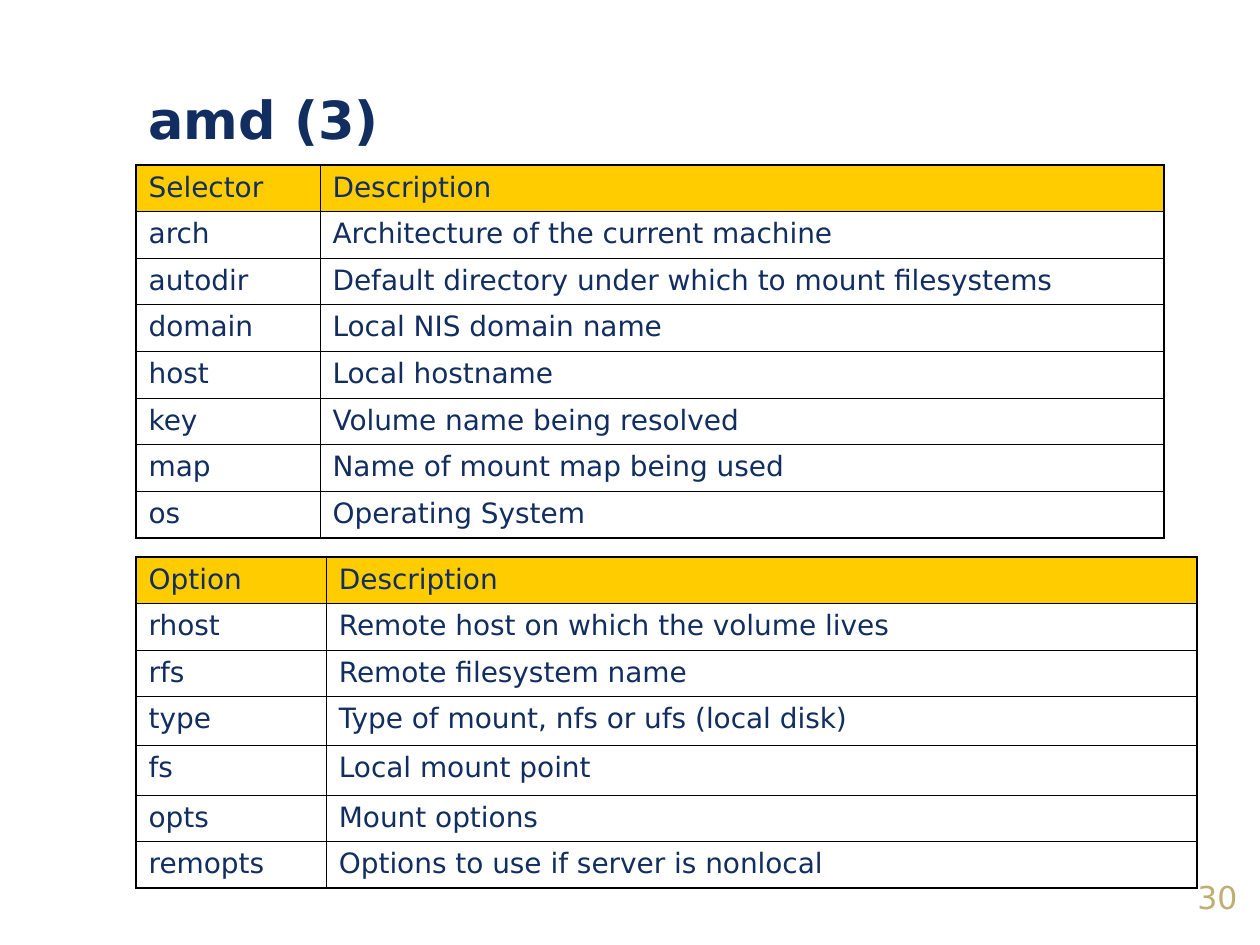
from dataclasses import dataclass

import lxml.etree
import pptx
import pptx.dml.color
import pptx.enum.text
import pptx.oxml.ns
import pptx.util
from pptx.util import Inches


@dataclass(frozen=True)
class Theme:
    font: str = "DejaVu Sans"
    navy: str = "122E61"
    gold: str = "FFCC00"
    sand: str = "BFAE73"
    rule: str = "000000"
    title_size: int = 30
    number_size: int = 18
    cell_size: int = 16
    outer_rule: float = 1.08
    inner_rule: float = 0.45


THEME = Theme()
LEFT = 1.08
ROW_HEIGHT = 0.37
TALL_ROW_HEIGHT = 0.39

SELECTORS = [
    ("Selector", "Description"),
    ("arch", "Architecture of the current machine"),
    ("autodir", "Default directory under which to mount filesystems"),
    ("domain", "Local NIS domain name"),
    ("host", "Local hostname"),
    ("key", "Volume name being resolved"),
    ("map", "Name of mount map being used"),
    ("os", "Operating System"),
]

OPTIONS = [
    ("Option", "Description"),
    ("rhost", "Remote host on which the volume lives"),
    ("rfs", "Remote filesystem name"),
    ("type", "Type of mount, nfs or ufs (local disk)"),
    ("fs", "Local mount point"),
    ("opts", "Mount options"),
    ("remopts", "Options to use if server is nonlocal"),
]


def add_run(paragraph, text, size, color, bold=False):
    run = paragraph.add_run()
    run.text = text
    run.font.name = THEME.font
    run.font.size = pptx.util.Pt(size)
    run.font.bold = bold
    run.font.color.rgb = pptx.dml.color.RGBColor.from_string(color)


def add_label(slide, box, text, size, color, bold=False, align="LEFT", anchor="TOP"):
    frame = slide.shapes.add_textbox(*map(Inches, box)).text_frame
    frame.word_wrap = True
    frame.vertical_anchor = pptx.enum.text.MSO_ANCHOR[anchor]
    paragraph = frame.paragraphs[0]
    paragraph.alignment = pptx.enum.text.PP_ALIGN[align]
    add_run(paragraph, text, size, color, bold)


def set_borders(cell, outer_sides):
    qn = pptx.oxml.ns.qn
    properties = cell._tc.get_or_add_tcPr()
    for position, side in enumerate("LRTB"):
        width = THEME.outer_rule if side in outer_sides else THEME.inner_rule
        border = lxml.etree.Element(qn(f"a:ln{side}"), w=str(pptx.util.Pt(width)))
        fill = lxml.etree.SubElement(border, qn("a:solidFill"))
        lxml.etree.SubElement(fill, qn("a:srgbClr"), val=THEME.rule)
        properties.insert(position, border)


def add_definitions(slide, top, widths, entries, tall_rows=()):
    heights = [TALL_ROW_HEIGHT if row in tall_rows else ROW_HEIGHT
               for row in range(len(entries))]
    table = slide.shapes.add_table(
        len(entries), len(widths), Inches(LEFT), Inches(top),
        Inches(sum(widths)), Inches(sum(heights))).table
    table.horz_banding = False
    for column, width in zip(table.columns, widths):
        column.width = Inches(width)
    for row, (entry, height) in enumerate(zip(entries, heights)):
        table.rows[row].height = Inches(height)
        for column, text in enumerate(entry):
            cell = table.cell(row, column)
            if row == 0:
                cell.fill.solid()
                cell.fill.fore_color.rgb = pptx.dml.color.RGBColor.from_string(THEME.gold)
            else:
                cell.fill.background()
            outer_sides = "LR"[column]
            if row == 0:
                outer_sides += "T"
            if row == len(entries) - 1:
                outer_sides += "B"
            set_borders(cell, outer_sides)
            add_run(cell.text_frame.paragraphs[0], text, THEME.cell_size, THEME.navy)


def main():
    deck = pptx.Presentation()
    deck.slide_width, deck.slide_height = Inches(10), Inches(7.5)
    slide = deck.slides.add_slide(deck.slide_layouts[6])
    add_label(slide, (8.92, 6.92, 1, 0.5), "30", THEME.number_size, THEME.sand,
              align="RIGHT")
    add_label(slide, (LEFT, 0.44, 7.76, 1), "amd (3)", THEME.title_size, THEME.navy,
              bold=True, anchor="MIDDLE")
    add_definitions(slide, 1.31, (1.46, 6.7), SELECTORS)
    add_definitions(slide, 4.42, (1.51, 6.91), OPTIONS, tall_rows=(3, 4))
    deck.save("out.pptx")


if __name__ == "__main__":
    main()
